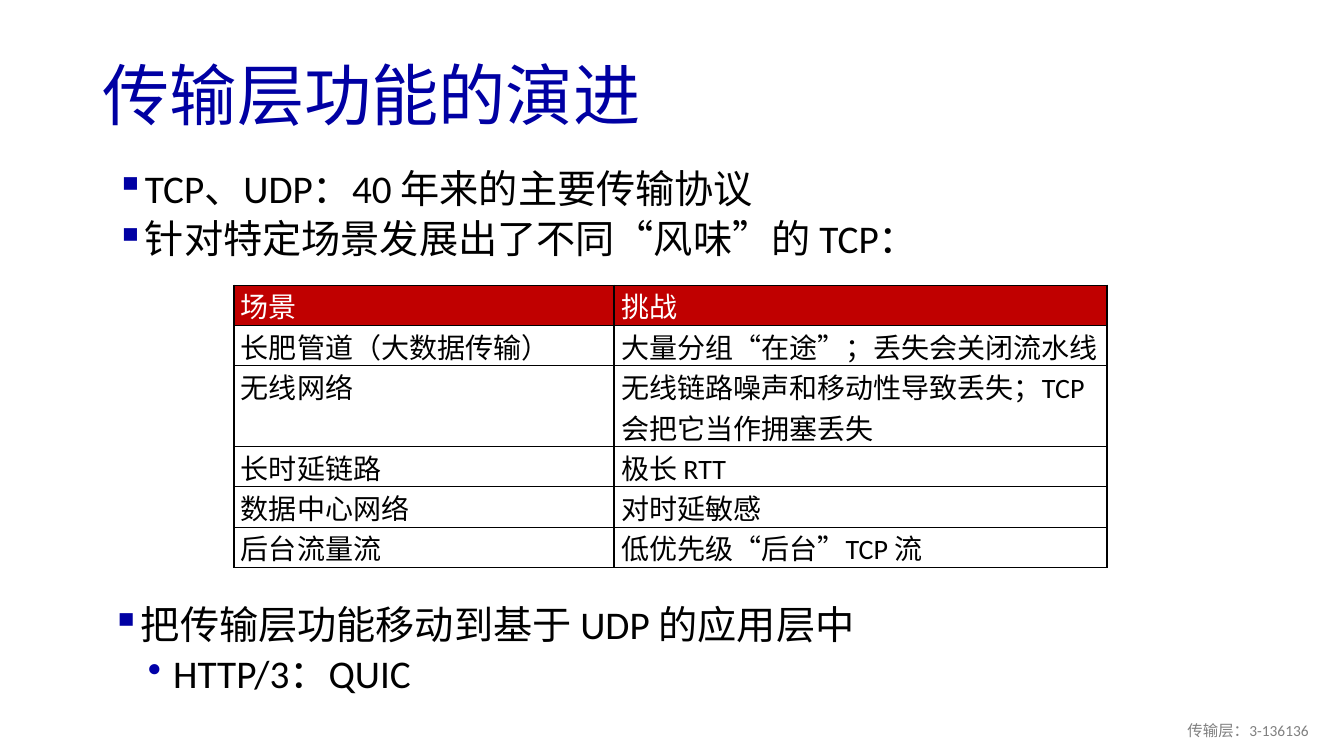
import lxml.etree
import pptx
import pptx.dml.color
import pptx.enum.text
import pptx.oxml.ns
import pptx.util

Inches, Pt = pptx.util.Inches, pptx.util.Pt
RGBColor = pptx.dml.color.RGBColor
Anchor, Align = pptx.enum.text.MSO_ANCHOR, pptx.enum.text.PP_ALIGN

# Content
TITLE = "传输层功能的演进"
INTRO = [(0, "TCP、UDP：40 年来的主要传输协议"),
         (0, "针对特定场景发展出了不同“风味”的 TCP：")]
SCENARIOS = [
    ("场景", "挑战"),
    ("长肥管道（大数据传输）", "大量分组“在途”；丢失会关闭流水线"),
    ("无线网络", "无线链路噪声和移动性导致丢失；TCP 会把它当作拥塞丢失"),
    ("长时延链路", "极长 RTT"),
    ("数据中心网络", "对时延敏感"),
    ("后台流量流", "低优先级“后台”TCP 流"),
]
OUTLOOK = [(0, "把传输层功能移动到基于 UDP 的应用层中"),
           (1, "HTTP/3：QUIC")]
FOOTER = "传输层：3-136136"

# Style
FONT = "Calibri"
BLACK = RGBColor(0x00, 0x00, 0x00)
WHITE = RGBColor(0xFF, 0xFF, 0xFF)
NAVY = RGBColor(0x00, 0x00, 0xA3)
BULLET_BLUE = RGBColor(0x00, 0x00, 0xA8)
RED = RGBColor(0xC0, 0x00, 0x00)
GRAY = RGBColor(0x80, 0x80, 0x80)
# Per level: bullet, bullet colour, left margin, hanging indent, space before
LEVELS = [("▪", NAVY, 0.39, 0.24, 6), ("•", BULLET_BLUE, 0.76, 0.25, 5)]

# Grid, in inches
BODY_WIDTH = 11.5
COLUMNS = (3.77, 4.89)
ROW_HEIGHT = 0.4
ROW_LINES = (1, 1, 2, 1, 1, 1)


def add_element(parent, tag, **attributes):
    return lxml.etree.SubElement(parent, pptx.oxml.ns.qn(tag), attributes)


def set_font(para, size, color):
    para.font.name = FONT
    para.font.size = Pt(size)
    para.font.color.rgb = color


def add_box(page, left, top, width, height, anchor=Anchor.TOP):
    box = page.shapes.add_textbox(*map(Inches, (left, top, width, height)))
    box.text_frame.word_wrap = True
    box.text_frame.vertical_anchor = anchor
    return box.text_frame


def add_line(page, area, text, size, color, align, spacing):
    para = add_box(page, *area, Anchor.MIDDLE).paragraphs[0]
    para.text = text
    para.alignment = align
    para.line_spacing = spacing
    set_font(para, size, color)


def add_bullets(page, area, items):
    frame = add_box(page, *area)
    for index, (level, text) in enumerate(items):
        para = frame.add_paragraph() if index else frame.paragraphs[0]
        char, color, margin, hanging, before = LEVELS[level]
        para.text = text
        para.level = level
        para.line_spacing = 0.9
        para.space_before = Pt(before if index else 0)
        properties = para._p.get_or_add_pPr()
        properties.set("marL", str(Inches(margin)))
        properties.set("indent", str(-Inches(hanging)))
        add_element(add_element(properties, "a:buClr"), "a:srgbClr", val=str(color))
        add_element(properties, "a:buChar", char=char)
        set_font(para, 28, BLACK)


def add_borders(cell):
    properties = cell._tc.get_or_add_tcPr()
    for position, side in enumerate(("a:lnL", "a:lnR", "a:lnT", "a:lnB")):
        line = add_element(properties, side, w=str(Pt(1)))
        add_element(add_element(line, "a:solidFill"), "a:srgbClr", val=str(BLACK))
        properties.insert(position, line)


def add_scenarios(page, left, top):
    height = ROW_HEIGHT * sum(ROW_LINES)
    table = page.shapes.add_table(
        len(SCENARIOS), len(COLUMNS),
        *map(Inches, (left, top, sum(COLUMNS), height))).table
    table.first_row = False
    table.horz_banding = False
    for column, width in zip(table.columns, COLUMNS):
        column.width = Inches(width)
    for row_index, (row, texts) in enumerate(zip(table.rows, SCENARIOS)):
        row.height = Inches(ROW_HEIGHT * ROW_LINES[row_index])
        fill, color = (WHITE, BLACK) if row_index else (RED, WHITE)
        for cell, text in zip(row.cells, texts):
            cell.text = text
            cell.margin_left = cell.margin_right = Inches(0.07)
            cell.margin_top = cell.margin_bottom = 0
            cell.fill.solid()
            cell.fill.fore_color.rgb = fill
            add_borders(cell)
            set_font(cell.text_frame.paragraphs[0], 20, color)


def main():
    deck = pptx.Presentation()
    deck.slide_width, deck.slide_height = Inches(13.33), Inches(7.5)
    page = deck.slides.add_slide(deck.slide_layouts[6])

    # Title and opening points
    add_line(page, (0.92, 0.49, BODY_WIDTH, 0.98), TITLE, 48, NAVY, Align.LEFT, 0.9)
    add_bullets(page, (0.9, 1.63, BODY_WIDTH, 1.08), INTRO)

    # Scenario table, closing points and footer
    add_scenarios(page, 2.32, 2.83)
    add_bullets(page, (0.86, 5.96, BODY_WIDTH, 1.08), OUTLOOK)
    add_line(page, (10.08, 7.05, 3, 0.4), FOOTER, 11, GRAY, Align.RIGHT, 1.0)

    deck.save("out.pptx")


if __name__ == "__main__":
    main()
